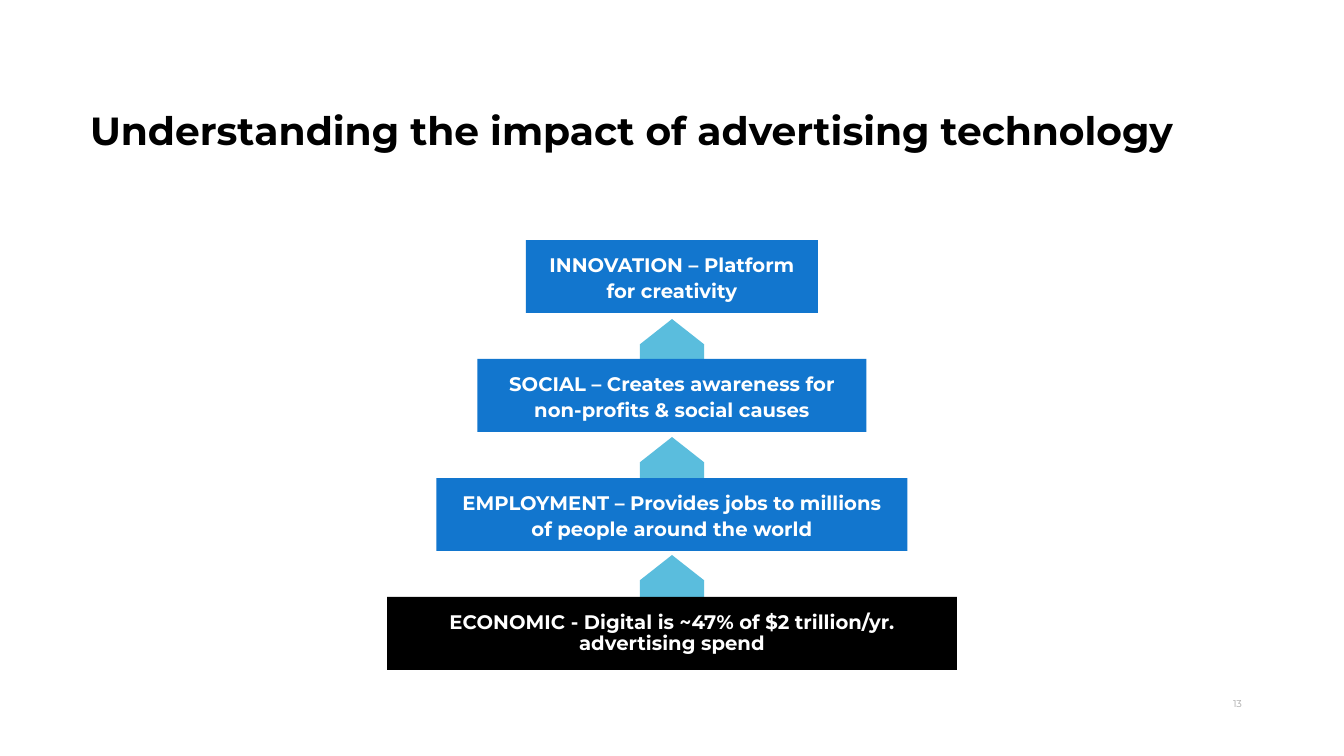
from pptx import Presentation
from pptx.dml.color import RGBColor
from pptx.enum import shapes, text
from pptx.util import Emu, Pt

WIDTH, HEIGHT = 1344, 756
CENTRE = WIDTH // 2
BLACK, WHITE, BLUE, SKY, GREY = "000000", "FFFFFF", "1276CE", "5ABDDD", "A6A6A6"

BOX_TOP, BOX_HEIGHT, BOX_STEP = 240, 73, 119
ARROW_TOP, ARROW_WIDTH, ARROW_HEIGHT, ARROW_STEP = 319, 64, 42, 118

# Wording, width, fill, line spacing, space after
LEVELS = [
    ("INNOVATION – Platform for creativity", 292, BLUE, 1.1, 8),
    ("SOCIAL – Creates awareness for non-profits & social causes", 389, BLUE, 1.1, 8),
    ("EMPLOYMENT – Provides jobs to millions of people around the world", 471, BLUE, 1.1, 8),
    ("ECONOMIC - Digital is ~47% of $2 trillion/yr. advertising spend", 570, BLACK, 0.9, 6),
]


def px(length):
    return Emu(round(length * 914400 / 100.8))


def colour(value):
    return RGBColor.from_string(value)


class Slide:
    font = "Montserrat"

    def __init__(self, deck):
        self.page = deck.slides.add_slide(deck.slide_layouts[5])

    def set_text(self, box, wording, size, ink, align, bold=True, anchor=text.MSO_ANCHOR.TOP,
                 inset=(0, 0), spacing=1.0, after=0):
        frame = box.text_frame
        frame.text = wording
        frame.word_wrap = True
        frame.auto_size = text.MSO_AUTO_SIZE.NONE
        frame.vertical_anchor = anchor
        frame.margin_left = frame.margin_right = px(inset[0])
        frame.margin_top = frame.margin_bottom = px(inset[1])
        para = frame.paragraphs[0]
        para.alignment = align
        para.line_spacing = spacing
        para.space_before, para.space_after = Pt(0), Pt(after)
        span = para.runs[0].font
        span.name, span.size, span.bold = self.font, Pt(size), bold
        span.color.rgb = colour(ink)

    def title(self, wording, left, top, width, height):
        box = self.page.shapes.title
        box.left, box.top, box.width, box.height = map(px, (left, top, width, height))
        self.set_text(box, wording, 28, BLACK, text.PP_ALIGN.LEFT, spacing=0.95)

    def shape(self, kind, left, top, width, height, fill):
        shape = self.page.shapes.add_shape(kind, *map(px, (left, top, width, height)))
        shape.shadow.inherit = False
        shape.fill.solid()
        shape.fill.fore_color.rgb = colour(fill)
        shape.line.fill.background()
        return shape

    def arrow(self, top):
        """Draw an upward pentagon: a sideways one turned about its centre."""
        middle = top + ARROW_HEIGHT / 2
        arrow = self.shape(shapes.MSO_SHAPE.PENTAGON, CENTRE - ARROW_HEIGHT / 2,
                           middle - ARROW_WIDTH / 2, ARROW_HEIGHT, ARROW_WIDTH, SKY)
        arrow.adjustments[0] = 0.6
        arrow.rotation = 270

    def level(self, wording, top, width, fill, spacing, after):
        box = self.shape(shapes.MSO_SHAPE.RECTANGLE, CENTRE - width / 2, top,
                         width, BOX_HEIGHT, fill)
        self.set_text(box, wording, 14, WHITE, text.PP_ALIGN.CENTER, inset=(20, 10),
                      anchor=text.MSO_ANCHOR.MIDDLE, spacing=spacing, after=after)

    def page_number(self, number, left, top, width, height):
        box = self.page.shapes.add_textbox(*map(px, (left, top, width, height)))
        self.set_text(box, number, 7, GREY, text.PP_ALIGN.RIGHT, bold=False)


def main():
    deck = Presentation()
    deck.slide_width, deck.slide_height = px(WIDTH), px(HEIGHT)
    slide = Slide(deck)
    slide.page_number("13", 1188, 698, 54, 12)
    slide.title("Understanding the impact of advertising technology", 90, 110, 1189, 87)
    for row in range(len(LEVELS) - 1):
        slide.arrow(ARROW_TOP + row * ARROW_STEP)
    for row, (wording, width, fill, spacing, after) in enumerate(LEVELS):
        slide.level(wording, BOX_TOP + row * BOX_STEP, width, fill, spacing, after)
    deck.save("out.pptx")


if __name__ == "__main__":
    main()
